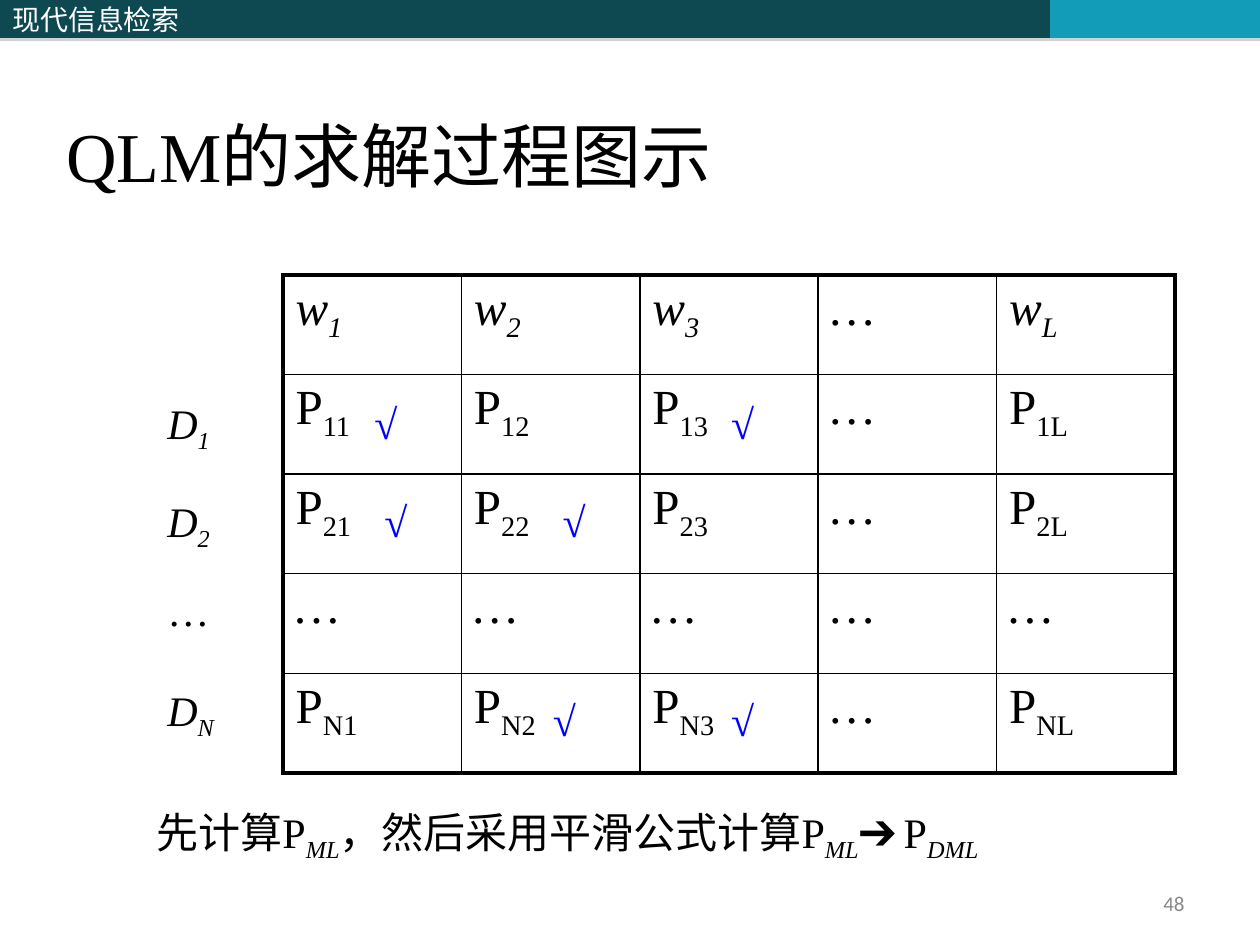
from lxml import etree
from pptx import Presentation
from pptx import util as u
from pptx.dml.color import RGBColor
from pptx.enum import shapes, text
from pptx.oxml import ns

PX = 914400 / 126
COLORS = {"dark": "0E4851", "teal": "139CB7", "white": "FFFFFF", "black": "000000",
          "check": "0000FF", "number": "898989", "shadow": "808080"}
SERIF, SANS, CJK = "Times New Roman", "Calibri", "Noto Sans CJK SC"
WORDS = ["w|1", "w|2", "w|3", "…", "w|L"]
ROWS = ["1", "2", "…", "N"]
COLS = ["1", "2", "3", "…", "L"]
LABEL_TOPS = [116, 214, 303, 403]
CHECKS = [(116, 79, (0, 2)), (214, 89, (0, 1)), (413, 79, (1, 2))]


def px(n):
    """Turn px into EMU."""
    return u.Emu(round(n * PX))


def rgb(name):
    """Look up a named colour."""
    return RGBColor.from_string(COLORS[name])


def sub(parent, tag, **attrs):
    """Append a DrawingML element."""
    return etree.SubElement(parent, ns.qn("a:" + tag), attrs)


def write(tf, string, size, color="black", font=SERIF, east=None,
          main_italic=False, sub_italic=False, before=0):
    """Write one paragraph in which every second part between bars is a subscript."""
    p = tf.paragraphs[0]
    if before:
        spacing = sub(p._p.get_or_add_pPr(), "spcBef")
        sub(spacing, "spcPct", val=str(before * 1000))
    for i, part in enumerate(string.split("|")):
        r = p.add_run()
        r.text = part
        r.font.size = u.Pt(size)
        r.font.name = font
        r.font.color.rgb = rgb(color)
        r.font.italic = sub_italic if i % 2 else main_italic
        if i % 2:
            r.font._element.set("baseline", "-25000")
        if east:
            sub(r.font._element, "ea", typeface=east)
    return p


def textbox(slide, box, string, size, anchor=text.MSO_ANCHOR.TOP, **style):
    """Add a wrapping text box and return its paragraph."""
    tf = slide.shapes.add_textbox(*map(px, box)).text_frame
    tf.word_wrap = True
    tf.vertical_anchor = anchor
    return write(tf, string, size, **style)


def header(slide, box, string):
    """Draw the three shadowed bars and the course name."""
    x, y, w, h = box
    edges = [0, 514, 1050, w]
    for left, right, color in zip(edges, edges[1:], ["dark", "dark", "teal"]):
        sp = slide.shapes.add_shape(shapes.MSO_SHAPE.RECTANGLE, px(x + left), px(y),
                                    px(right - left), px(h))
        sp.fill.solid()
        sp.fill.fore_color.rgb = rgb(color)
        sp.line.fill.background()
        sp.shadow.inherit = False
        effects = sp._element.spPr.find(ns.qn("a:effectLst"))
        shadow = sub(effects, "outerShdw", dist="22860", dir="5400000", rotWithShape="0")
        sub(sub(shadow, "srgbClr", val=COLORS["shadow"]), "alpha", val="35000")
        if left == 0:
            sp.text_frame.vertical_anchor = text.MSO_ANCHOR.MIDDLE
            p = write(sp.text_frame, string, 16, "white", CJK, CJK)
            p.alignment = text.PP_ALIGN.LEFT


def border(cell, widths):
    """Give a cell black edges of the given point widths."""
    tcPr = cell._tc.get_or_add_tcPr()
    for side, width in zip("LRTB", widths):
        ln = sub(tcPr, "ln" + side, w=str(u.Pt(width)))
        sub(sub(ln, "solidFill"), "srgbClr", val=COLORS["black"])


def cell_text(row, col):
    """Name the probability of a word in a document."""
    return "…" if "…" in (row, col) else f"P|{row}{col}"


def matrix(slide, box):
    """Draw the probability table."""
    grid = [WORDS] + [[cell_text(r, c) for c in COLS] for r in ROWS]
    n = len(grid)
    table = slide.shapes.add_table(n, n, *map(px, box)).table
    table.first_row = table.horz_banding = False
    for i, line in enumerate(grid):
        table.rows[i].height = px(box[3] / n)
        table.columns[i].width = px(box[2] / n)
        for j, string in enumerate(line):
            cell = table.cell(i, j)
            outer = [j == 0, j == n - 1, i == 0, i == n - 1]
            border(cell, [2.25 if edge else 1 for edge in outer])
            cell.fill.background()
            write(cell.text_frame, string, 28, main_italic=string[0] != "P",
                  sub_italic=i == 0, before=20)


def annotations(slide, box):
    """Put document labels beside the table and check marks inside it."""
    x, y, w, h = box
    for name, top in zip(ROWS, LABEL_TOPS):
        dots = name == "…"
        textbox(slide, (x - 128, y + top, 110, 63), name if dots else "D|" + name, 24,
                main_italic=not dots, sub_italic=True, before=50)
    for top, inset, cols in CHECKS:
        for col in cols:
            textbox(slide, (x + col * w / len(COLS) + inset, y + top, 90, 63), "√", 24,
                    color="check", before=50)


def main():
    """Build the slide."""
    prs = Presentation()
    prs.slide_width, prs.slide_height = px(1260), px(945)
    slide = prs.slides.add_slide(prs.slide_layouts[6])
    header(slide, (0, 0, 1260, 38), "现代信息检索")
    textbox(slide, (54, 45, 949, 158), "QLM的求解过程图示", 40,
            text.MSO_ANCHOR.BOTTOM, east=CJK)
    table_box = (283, 275, 892, 498)
    matrix(slide, table_box)
    annotations(slide, table_box)
    textbox(slide, (144, 800, 1116, 63),
            "先计算P|ML|，然后采用平滑公式计算P|ML|➔P|DML", 24,
            east=CJK, sub_italic=True, before=50)
    number = textbox(slide, (935, 872, 262, 63), "48", 12, text.MSO_ANCHOR.MIDDLE,
                     color="number", font=SANS)
    number.alignment = text.PP_ALIGN.RIGHT
    prs.save("out.pptx")


if __name__ == "__main__":
    main()
